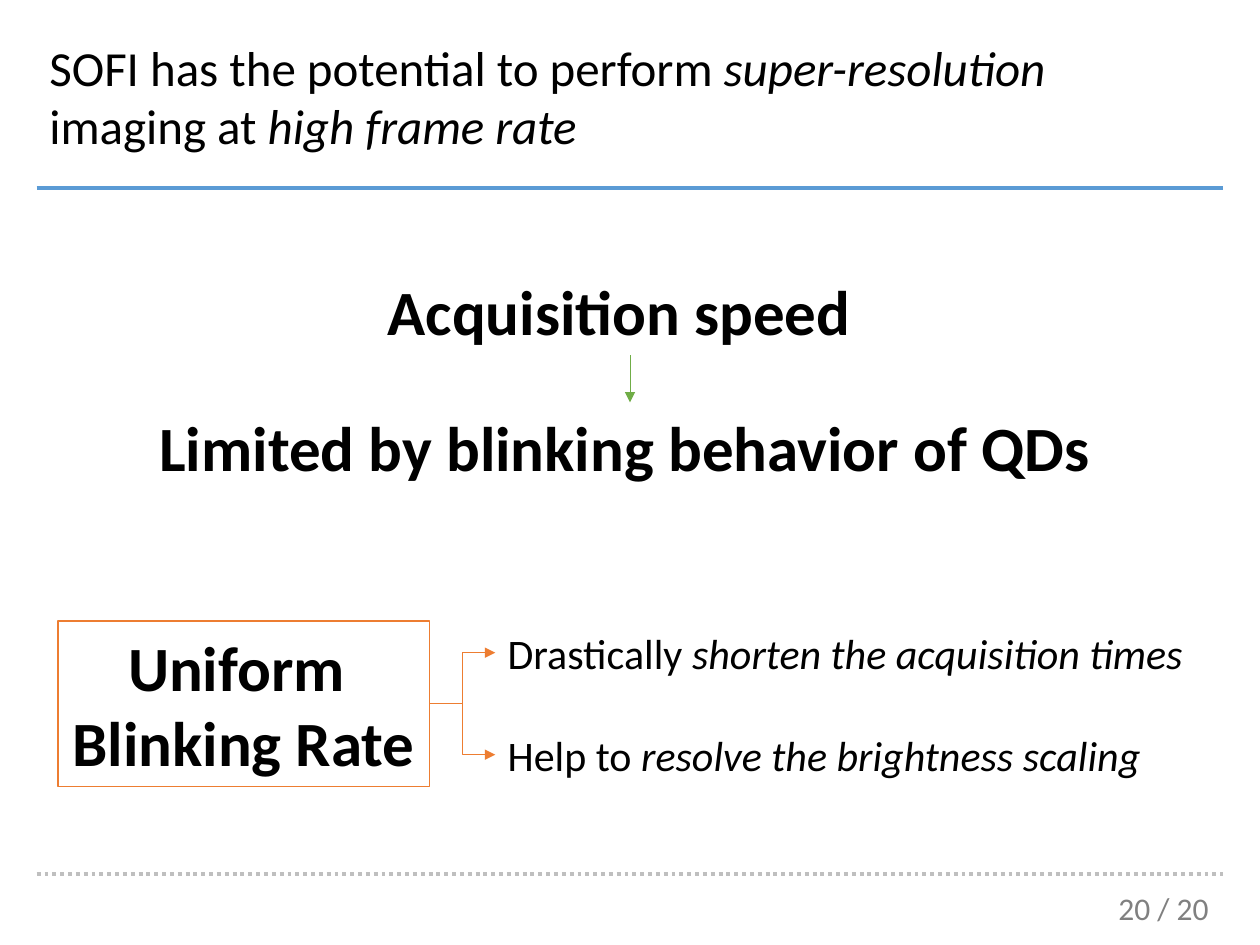
"""Build the slide on acquisition speed and uniform blinking rate."""
import pptx
import pptx.dml.color
import pptx.enum.dml
import pptx.enum.shapes
import pptx.enum.text
import pptx.oxml
import pptx.oxml.ns
import pptx.util

Pt = pptx.util.Pt
RGBColor = pptx.dml.color.RGBColor
Align = pptx.enum.text.PP_ALIGN
Connector = pptx.enum.shapes.MSO_CONNECTOR

FONT = "Calibri"
BLACK = RGBColor(0x00, 0x00, 0x00)
WHITE = RGBColor(0xFF, 0xFF, 0xFF)
GRAY = RGBColor(0x80, 0x80, 0x80)
LIGHT_GRAY = RGBColor(0xBF, 0xBF, 0xBF)
BLUE = RGBColor(0x5B, 0x9B, 0xD5)
GREEN = RGBColor(0x70, 0xAD, 0x47)
ORANGE = RGBColor(0xED, 0x7D, 0x31)

BOTTOM, RIGHT, TOP, LEFT = 2, 3, 0, 1


def add_runs(paragraph, runs, size, color=BLACK, bold=False, alignment=Align.LEFT):
    """Add (text, italic) runs to a paragraph."""
    paragraph.alignment = alignment
    for text, italic in runs:
        run = paragraph.add_run()
        run.text = text
        run.font.name = FONT
        run.font.size = Pt(size)
        run.font.bold = bold
        run.font.italic = italic
        run.font.color.rgb = color


def add_label(shapes, box, runs, size, color=BLACK, bold=False):
    """Add a one-line text box."""
    label = shapes.add_textbox(*map(Pt, box))
    label.text_frame.word_wrap = False
    label.text_frame.auto_size = pptx.enum.text.MSO_AUTO_SIZE.SHAPE_TO_FIT_TEXT
    add_runs(label.text_frame.paragraphs[0], runs, size, color, bold)
    return label


def add_line(shapes, kind, start, end, color, width):
    """Add a connector without a shadow between two points."""
    line = shapes.add_connector(kind, *map(Pt, (*start, *end)))
    line.line.color.rgb = color
    line.line.width = Pt(width)
    properties = line._element.spPr
    properties.append(pptx.oxml.parse_xml(
        f"<a:effectLst {pptx.oxml.ns.nsdecls('a')}/>"))
    return line


def add_arrow(shapes, kind, source, source_side, target, target_side, color):
    """Join two shapes with a thin arrow."""
    arrow = add_line(shapes, kind, (0, 0), (1, 1), color, 0.5)
    arrow.begin_connect(source, source_side)
    arrow.end_connect(target, target_side)
    arrow.line._get_or_add_ln().append(pptx.oxml.parse_xml(
        f"<a:tailEnd {pptx.oxml.ns.nsdecls('a')} type='triangle'/>"))


def add_header(slide, left, top, width, height):
    """Fill the title placeholder and draw the rule beneath it."""
    title = slide.shapes.title
    title.left, title.top = Pt(left), Pt(top)
    title.width, title.height = Pt(width), Pt(75)
    frame = title.text_frame
    frame.word_wrap = True
    frame.auto_size = pptx.enum.text.MSO_AUTO_SIZE.NONE
    frame.vertical_anchor = pptx.enum.text.MSO_ANCHOR.MIDDLE
    add_runs(frame.paragraphs[0], [
        ("SOFI has the potential to perform ", False),
        ("super-resolution", True),
        (" imaging at ", False),
        ("high frame rate", True),
    ], 28)
    bottom = top + height
    add_line(slide.shapes, Connector.STRAIGHT, (left, bottom),
             (left + width, bottom), BLUE, 2.25)


def add_limitation(slide, left, top, width, height):
    """Stack two centred statements joined by an arrow."""
    shapes = slide.shapes.add_group_shape().shapes
    label_height = 51
    statements = [
        ("Acquisition speed", 291, top),
        ("Limited by blinking behavior of QDs", width, top + height - label_height),
    ]
    labels = [
        add_label(shapes, (left + (width - label_width) / 2, label_top,
                           label_width, label_height),
                  [(text, False)], 36, bold=True)
        for text, label_width, label_top in statements
    ]
    add_arrow(shapes, Connector.STRAIGHT, labels[0], BOTTOM, labels[1], TOP, GREEN)


def add_solution(slide, left, top, width, height):
    """Draw the framed solution and branch to its two benefits."""
    shapes = slide.shapes
    frame_width = 212.5
    frame = shapes.add_shape(pptx.enum.shapes.MSO_SHAPE.RECTANGLE,
                             *map(Pt, (left, top, frame_width, height)))
    frame.shadow.inherit = False
    frame.fill.solid()
    frame.fill.fore_color.rgb = WHITE
    frame.line.color.rgb = ORANGE
    frame.line.width = Pt(1)
    frame.text_frame.word_wrap = False
    for index, text in enumerate(("Uniform ", "Blinking Rate")):
        paragraph = (frame.text_frame.add_paragraph() if index
                     else frame.text_frame.paragraphs[0])
        add_runs(paragraph, [(text, False)], 36, bold=True, alignment=Align.CENTER)

    benefit_left = left + frame_width + 37.5
    benefits = [
        ("Drastically ", "shorten the acquisition times", width - 250),
        ("Help to ", "resolve the brightness scaling", 380),
    ]
    for index, (lead, emphasis, label_width) in enumerate(benefits):
        label = add_label(shapes, (benefit_left, top + index * 58.25, label_width, 36),
                          [(lead, False), (emphasis, True)], 24)
        add_arrow(shapes, Connector.ELBOW, frame, RIGHT, label, LEFT, ORANGE)


def add_footer(slide, left, top, width, height):
    """Draw the dotted rule and the page number."""
    rule = add_line(slide.shapes, Connector.STRAIGHT, (left, top),
                    (left + width, top), LIGHT_GRAY, 2.25)
    rule.line.dash_style = pptx.enum.dml.MSO_LINE.ROUND_DOT
    number_width, number_height = 67, 29
    add_label(slide.shapes, (left + width - number_width, top + height - number_height,
                             number_width, number_height),
              [("20 / 20", False)], 18, GRAY)


def main():
    """Build and save the presentation."""
    presentation = pptx.Presentation()
    presentation.slide_width, presentation.slide_height = Pt(720), Pt(540)
    slide = presentation.slides.add_slide(
        presentation.slide_layouts.get_by_name("Title Only"))
    add_header(slide, 21, 17.25, 678, 90)
    add_limitation(slide, 84, 152, 552, 129)
    add_solution(slide, 33, 355, 657.5, 94.5)
    add_footer(slide, 21, 499.5, 678, 34)
    presentation.save("out.pptx")


if __name__ == "__main__":
    main()
